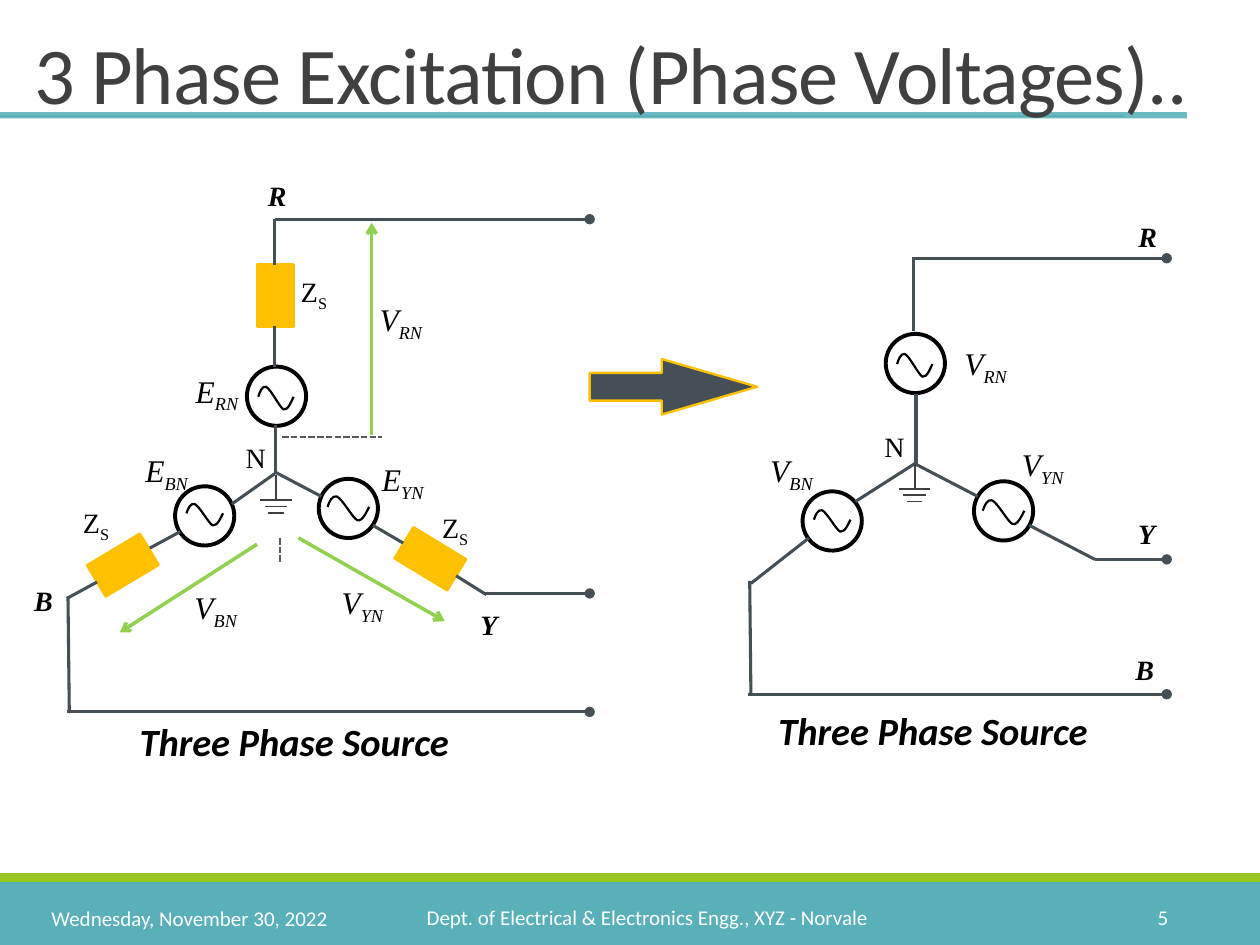
from dataclasses import dataclass
from typing import NamedTuple, Optional

from lxml import etree
from pptx import Presentation
from pptx.dml.color import RGBColor
from pptx.enum import dml, shapes, text
from pptx.oxml import ns
from pptx.util import Inches, Pt

SHAPE, ALIGN = shapes.MSO_SHAPE, text.PP_ALIGN


@dataclass(frozen=True)
class Theme:
    teal: str = "59B0B9"
    lime: str = "98C723"
    slate: str = "444F56"
    amber: str = "FFC000"
    green: str = "92D050"
    dark: str = "404040"
    grey: str = "595959"
    black: str = "000000"
    white: str = "FFFFFF"
    sans: str = "Calibri"
    serif: str = "Times New Roman"
    title: int = 46
    caption: int = 22
    voltage: int = 18
    node: int = 16
    footer: int = 12


T = Theme()


class Stroke(NamedTuple):
    color: str
    width: float
    tail: Optional[str] = None
    dashed: bool = False


class Wire(NamedTuple):
    x1: float
    y1: float
    x2: float
    y2: float
    stroke: Stroke
    begin: Optional[tuple] = None  # (impedance name, side)
    end: Optional[tuple] = None


class Source(NamedTuple):
    x: float
    y: float
    rot: float
    wave: tuple  # left, top, width, height


class Impedance(NamedTuple):
    name: str
    x: float
    y: float
    rot: float


class Label(NamedTuple):
    x: float
    y: float
    w: float
    main: str
    sub: str = ""
    kind: str = "node"


WIRE = Stroke(T.slate, 1.75)
LINE_OUT = Stroke(T.slate, 1.75, "oval")
ARROW = Stroke(T.green, 2, "arrow")
DASH = Stroke(T.grey, 1.25, dashed=True)
EARTH = Stroke(T.dark, 1)
TOP, BOTTOM = 0, 2

LABEL_FORMATS = {
    "terminal": dict(size=T.node, bold=True, italic=True, align=ALIGN.CENTER),
    "node": dict(size=T.node, align=ALIGN.CENTER),
    "impedance": dict(size=T.node, align=ALIGN.LEFT),
    "voltage": dict(size=T.voltage, italic=True, align=ALIGN.RIGHT),
}
TERMINAL_WIDTHS = {"R": .36, "Y": .34, "B": .35}
VOLTAGE_WIDTHS = {"RN": .57, "YN": .56, "BN": .57}

# One sine period in a unit box: the start, then three points for each cubic curve
WAVE = [(0, .44), (.04, .22), (.11, -.05), (.22, 0), (.36, .1), (.6, .9), (.72, 1),
        (.85, 1.05), (.96, .56), (1, .44)]

IMPEDANCES = [
    Impedance("R", 2.04, 2.1, 0),
    Impedance("Y", 3.27, 4.19, 121.3),
    Impedance("B", .83, 4.24, 59.1),
]
SOURCES = [
    Source(1.96, 2.91, 0, (2.05, 3.07, .28, .18)),
    Source(2.53, 3.8, 338.7, (2.6, 3.94, .33, .19)),
    Source(1.39, 3.86, 20.8, (1.48, 4, .29, .17)),
    Source(7.03, 2.65, 0, (7.12, 2.81, .28, .18)),
    Source(7.73, 3.82, 338.7, (7.8, 3.97, .33, .19)),
    Source(6.37, 3.9, 5.8, (6.46, 4.05, .29, .17)),
]
LEFT_WIRES = [
    Wire(2.19, 3.76, 2.19, 3.37, WIRE),
    Wire(2.18, 1.74, 2.18, 2.1, WIRE, end=("R", TOP)),
    Wire(2.18, 2.59, 2.18, 2.91, WIRE, begin=("R", BOTTOM)),
    Wire(2.19, 3.75, 2.55, 3.94, WIRE),
    Wire(2.96, 4.17, 3.2, 4.31, WIRE, end=("Y", BOTTOM)),
    Wire(3.62, 4.57, 3.86, 4.72, WIRE, begin=("Y", TOP)),
    Wire(2.18, 3.76, 1.84, 4, WIRE),
    Wire(1.43, 4.22, 1.19, 4.35, WIRE, end=("B", TOP)),
    Wire(.77, 4.62, .53, 4.75, WIRE, begin=("B", BOTTOM)),
    Wire(.54, 4.75, .55, 5.66, WIRE),
    Wire(2.18, 1.74, 4.68, 1.74, LINE_OUT),
    Wire(.53, 5.65, 4.68, 5.65, LINE_OUT),
    Wire(3.84, 4.71, 4.68, 4.71, LINE_OUT),
    Wire(2.95, 3.45, 2.95, 1.77, ARROW),
    Wire(2.37, 4.27, 3.53, 4.93, ARROW),
    Wire(2.04, 4.32, .95, 5.02, ARROW),
    Wire(2.24, 3.47, 3.03, 3.47, DASH),
    Wire(2.22, 4.27, 2.22, 4.47, DASH),
]
RIGHT_WIRES = [
    Wire(7.25, 2.04, 7.25, 2.63, WIRE),
    Wire(7.27, 3.69, 7.27, 3.13, WIRE),
    Wire(7.26, 3.68, 6.79, 3.98, WIRE),
    Wire(7.26, 3.68, 7.76, 3.94, WIRE),
    Wire(5.96, 4.63, 6.42, 4.27, WIRE),
    Wire(8.69, 4.44, 8.17, 4.17, WIRE),
    Wire(5.95, 4.61, 5.96, 5.52, WIRE),
    Wire(7.25, 2.05, 9.26, 2.05, LINE_OUT),
    Wire(5.94, 5.51, 9.26, 5.51, LINE_OUT),
    Wire(8.69, 4.44, 9.26, 4.44, LINE_OUT),
]
LABELS = [
    *(Label(x, y, TERMINAL_WIDTHS[name], name, kind="terminal") for name, x, y in [
        ("R", 2.02, 1.37), ("B", .17, 4.58), ("Y", 3.71, 4.77),
        ("R", 8.93, 1.69), ("B", 8.91, 5.13), ("Y", 8.93, 4.05)]),
    *(Label(x, y, .36, "N") for x, y in [(1.85, 3.45), (6.92, 3.36)]),
    *(Label(x, y, .42, "Z", "S", "impedance")
      for x, y in [(2.29, 2.13), (3.41, 4), (.56, 3.96)]),
    *(Label(x, y, VOLTAGE_WIDTHS[sub], main, sub, "voltage") for main, sub, x, y in [
        ("E", "RN", 1.42, 2.9), ("E", "YN", 2.9, 3.6), ("E", "BN", 1.02, 3.53),
        ("V", "RN", 2.88, 2.33), ("V", "YN", 2.58, 4.58), ("V", "BN", 1.41, 4.62),
        ("V", "RN", 7.52, 2.68), ("V", "YN", 7.98, 3.48), ("V", "BN", 5.98, 3.53)]),
]


def rgb(color: str) -> RGBColor:
    return RGBColor.from_string(color)


def style_shape(sp, fill: Optional[str], line: Optional[str] = None, width: float = 1.35):
    sp.shadow.inherit = False
    for part, color in ((sp.fill, fill), (sp.line.fill, line)):
        if color is None:
            part.background()
        else:
            part.solid()
            part.fore_color.rgb = rgb(color)
    if line:
        sp.line.width = Pt(width)


def add_box(s, kind, x, y, w, h, fill=None, line=None, width=1.35, rot=0.0):
    sp = s.shapes.add_shape(kind, Inches(x), Inches(y), Inches(w), Inches(h))
    style_shape(sp, fill, line, width)
    sp.rotation = rot
    return sp


def write(tf, content: str, sub: str = "", *, size: int, font: str = T.serif, color: str = T.black,
          bold: bool = False, italic: bool = False, align=ALIGN.LEFT):
    p = tf.paragraphs[0]
    p.alignment = align
    for part in filter(None, (content, sub)):
        r = p.add_run()
        r.text = part
        f = r.font
        f.size, f.name, f.bold, f.italic = Pt(size), font, bold, italic
        f.color.rgb = rgb(color)
    if sub:
        r.font._element.set("baseline", "-25000")
    return p


def add_text(s, x, y, w, h, content, sub="", wrap=True, middle=False, **fmt):
    tf = s.shapes.add_textbox(Inches(x), Inches(y), Inches(w), Inches(h)).text_frame
    tf.word_wrap = wrap
    if middle:
        tf.vertical_anchor = text.MSO_ANCHOR.MIDDLE
    else:
        tf.auto_size = text.MSO_AUTO_SIZE.SHAPE_TO_FIT_TEXT
    write(tf, content, sub, **fmt)


def add_wire(s, wire: Wire, joints: dict):
    x1, y1, x2, y2 = map(Inches, wire[:4])
    c = s.shapes.add_connector(shapes.MSO_CONNECTOR.STRAIGHT, x1, y1, x2, y2)
    if wire.begin:
        c.begin_connect(joints[wire.begin[0]], wire.begin[1])
    if wire.end:
        c.end_connect(joints[wire.end[0]], wire.end[1])
    # Joining ignores rotation, so the end points are set again
    c.begin_x, c.begin_y, c.end_x, c.end_y = x1, y1, x2, y2
    c.line.color.rgb = rgb(wire.stroke.color)
    c.line.width = Pt(wire.stroke.width)
    if wire.stroke.dashed:
        c.line.dash_style = dml.MSO_LINE.SQUARE_DOT
    if wire.stroke.tail:
        etree.SubElement(c.line._get_or_add_ln(), ns.qn("a:tailEnd"), type=wire.stroke.tail)
    etree.SubElement(c._element.spPr, ns.qn("a:effectLst"))


def add_source(s, source: Source):
    """Draw a circle with a sine wave; the wave's line points become cubic curves."""
    add_box(s, SHAPE.OVAL, source.x, source.y, .47, .47, line=T.black, width=2.25, rot=source.rot)
    left, top, w, h = source.wave
    points = [(Inches(left + w * x), Inches(top + h * y)) for x, y in WAVE]
    fb = s.shapes.build_freeform(*points[0])
    fb.add_line_segments(points[1:], close=False)
    sp = fb.convert_to_shape()
    style_shape(sp, None, T.black, 1.25)
    outline = sp._element.spPr.find(".//" + ns.qn("a:path"))
    lines = outline.findall(ns.qn("a:lnTo"))
    for i in range(0, len(lines), 3):
        curve = etree.SubElement(outline, ns.qn("a:cubicBezTo"))
        for line in lines[i:i + 3]:
            curve.append(line[0])
            outline.remove(line)


def add_earth(s, x: float, y: float):
    add_wire(s, Wire(x, y, x, y + .2, EARTH), {})
    for i, w in enumerate((.25, .18, .12)):
        level = y + .2 + .05 * i
        add_wire(s, Wire(x - w / 2, level, x + w / 2, level, EARTH), {})


def add_frame(s):
    """Draw the footer, the title rule and the title."""
    add_box(s, SHAPE.RECTANGLE, 0, 7, 10, .5, T.teal)
    add_box(s, SHAPE.RECTANGLE, 0, 6.93, 10, .07, T.lime)
    add_wire(s, Wire(0, .92, 8.92, .92, Stroke(T.teal, .75)), {})
    rule = add_box(s, SHAPE.RECTANGLE, 0, .89, 9.42, .05, T.teal)
    color = rule._element.spPr.find(".//" + ns.qn("a:srgbClr"))
    etree.SubElement(color, ns.qn("a:alpha"), val="88000")
    for x, w, h, content, align in [
            (.31, 2.55, .42, "Wednesday, November 30, 2022", ALIGN.LEFT),
            (2.86, 4.56, .4, "Dept. of Electrical & Electronics Engg., XYZ - Norvale", ALIGN.CENTER),
            (8.29, 1.08, .4, "5", ALIGN.RIGHT)]:
        add_text(s, x, 7.08, w, h, content, middle=True, size=T.footer, font=T.sans,
                 color=T.white, align=align)
    title = s.shapes.title
    title.left, title.top, title.width, title.height = map(Inches, (.17, -.58, 9.67, 1.59))
    title.element.getparent().append(title.element)  # in front of the rule
    tf = title.text_frame
    tf.auto_size, tf.vertical_anchor = text.MSO_AUTO_SIZE.NONE, text.MSO_ANCHOR.BOTTOM
    p = write(tf, "3 Phase Excitation (Phase Voltages)..", size=T.title, font=T.sans, color=T.dark)
    p.line_spacing = .85
    p.runs[0].font._element.set("spc", "-50")


def main():
    prs = Presentation()
    prs.slide_width, prs.slide_height = Inches(10), Inches(7.5)
    s = prs.slides.add_slide(prs.slide_layouts[5])
    add_frame(s)
    joints = {z.name: add_box(s, SHAPE.RECTANGLE, z.x, z.y, .29, .49, T.amber, T.amber, rot=z.rot)
              for z in IMPEDANCES}
    for source in SOURCES:
        add_source(s, source)
    for wire in LEFT_WIRES + RIGHT_WIRES:
        add_wire(s, wire, joints)
    for x, y in ((2.19, 3.77), (7.26, 3.68)):
        add_earth(s, x, y)
    for lb in LABELS:
        add_text(s, lb.x, lb.y, lb.w, .4 if lb.kind == "voltage" else .37, lb.main, lb.sub,
                 wrap=False, **LABEL_FORMATS[lb.kind])
    for x, y in ((.26, 5.65), (5.33, 5.56)):
        add_text(s, x, y, 4.15, .47, "Three Phase Source", size=T.caption, font=T.sans,
                 bold=True, italic=True, align=ALIGN.CENTER)
    arrow = add_box(s, SHAPE.RIGHT_ARROW, 4.68, 2.85, 1.33, .44, T.slate, T.amber)
    arrow.adjustments[1] = 1.72
    prs.save("out.pptx")


if __name__ == "__main__":
    main()
